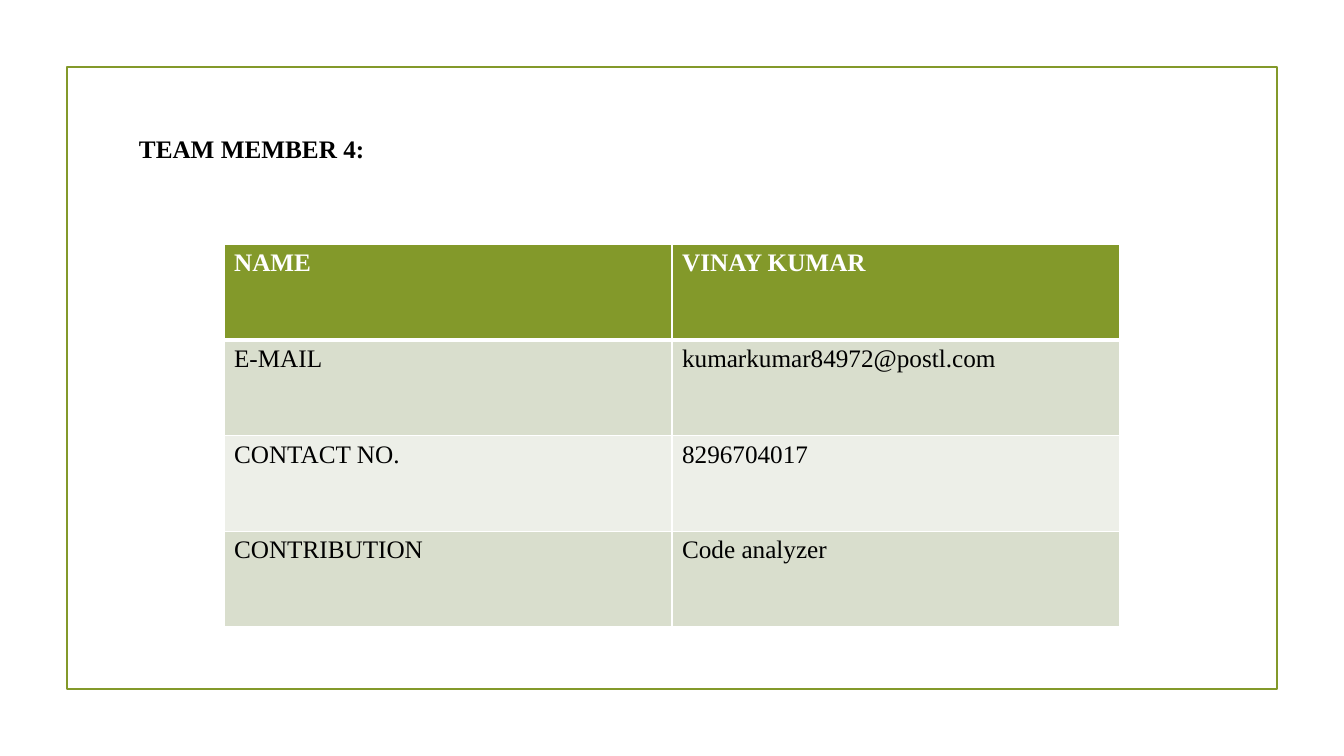
from dataclasses import dataclass

from lxml import etree
from pptx import Presentation
from pptx.dml.color import RGBColor
from pptx.enum.shapes import MSO_SHAPE
from pptx.enum.text import MSO_AUTO_SIZE
from pptx.oxml.ns import qn
from pptx.util import Inches, Pt

RECTANGLE = MSO_SHAPE.RECTANGLE
GROW = MSO_AUTO_SIZE.SHAPE_TO_FIT_TEXT

HEADING = "TEAM MEMBER 4:"
MEMBER = [
    ("NAME", "VINAY KUMAR"),
    ("E-MAIL", "kumarkumar84972@postl.com"),
    ("CONTACT NO.", "8296704017"),
    ("CONTRIBUTION", "Code analyzer"),
]


@dataclass(frozen=True)
class Theme:
    font: str = "Times New Roman"
    size: int = 18
    accent: str = "83992A"
    bands: tuple = ("D9DECD", "EDEFE8")
    ink: str = "000000"
    paper: str = "FFFFFF"
    frame_line: float = 1.25
    rule: int = 1
    header_rule: int = 3


THEME = Theme()
WIDTH, HEIGHT = Inches(13.33), Inches(7.5)
FRAME_WIDTH, FRAME_HEIGHT = Inches(12), Inches(6.17)
TABLE_TOP = Inches(2.42)
COLUMN_WIDTH = WIDTH // 3
ROW_HEIGHT = Inches(0.95)


def write(text_frame, text, color, bold):
    span = text_frame.paragraphs[0].add_run()
    span.text = text
    span.font.name = THEME.font
    span.font.size = Pt(THEME.size)
    span.font.bold = bold
    span.font.color.rgb = RGBColor.from_string(color)


def add_borders(cell, top, bottom):
    """Rule all four sides of a cell; top and bottom are widths in points."""
    properties = cell._tc.get_or_add_tcPr()
    sides = {"L": THEME.rule, "R": THEME.rule, "T": top, "B": bottom}
    for side, width in sides.items():
        line = etree.SubElement(properties, qn(f"a:ln{side}"), w=str(Pt(width)))
        fill = etree.SubElement(line, qn("a:solidFill"))
        etree.SubElement(fill, qn("a:srgbClr"), val=THEME.paper)


def add_frame(page):
    frame = page.shapes.add_shape(
        RECTANGLE, (WIDTH - FRAME_WIDTH) // 2, (HEIGHT - FRAME_HEIGHT) // 2,
        FRAME_WIDTH, FRAME_HEIGHT)
    frame.shadow.inherit = False
    frame.fill.background()
    frame.line.color.rgb = RGBColor.from_string(THEME.accent)
    frame.line.width = Pt(THEME.frame_line)


def add_heading(page):
    box = page.shapes.add_textbox(
        Inches(1.28), Inches(1.27), Inches(5.22), Inches(0.4))
    box.text_frame.word_wrap = True
    box.text_frame.auto_size = GROW
    write(box.text_frame, HEADING, THEME.ink, True)


def add_member_table(page):
    columns, rows = len(MEMBER[0]), len(MEMBER)
    table_width = columns * COLUMN_WIDTH
    table = page.shapes.add_table(
        rows, columns, (WIDTH - table_width) // 2, TABLE_TOP,
        table_width, rows * ROW_HEIGHT).table
    for column in table.columns:
        column.width = COLUMN_WIDTH
    for row, texts in enumerate(MEMBER):
        table.rows[row].height = ROW_HEIGHT
        header = row == 0
        fill = THEME.accent if header else THEME.bands[(row - 1) % 2]
        top = THEME.header_rule if row == 1 else THEME.rule
        bottom = THEME.header_rule if header else THEME.rule
        for column, text in enumerate(texts):
            cell = table.cell(row, column)
            add_borders(cell, top, bottom)
            cell.fill.solid()
            cell.fill.fore_color.rgb = RGBColor.from_string(fill)
            write(cell.text_frame, text,
                  THEME.paper if header else THEME.ink, header)


def main():
    deck = Presentation()
    deck.slide_width, deck.slide_height = WIDTH, HEIGHT
    page = deck.slides.add_slide(deck.slide_layouts[6])
    add_frame(page)
    add_member_table(page)
    add_heading(page)
    deck.save("out.pptx")


if __name__ == "__main__":
    main()
